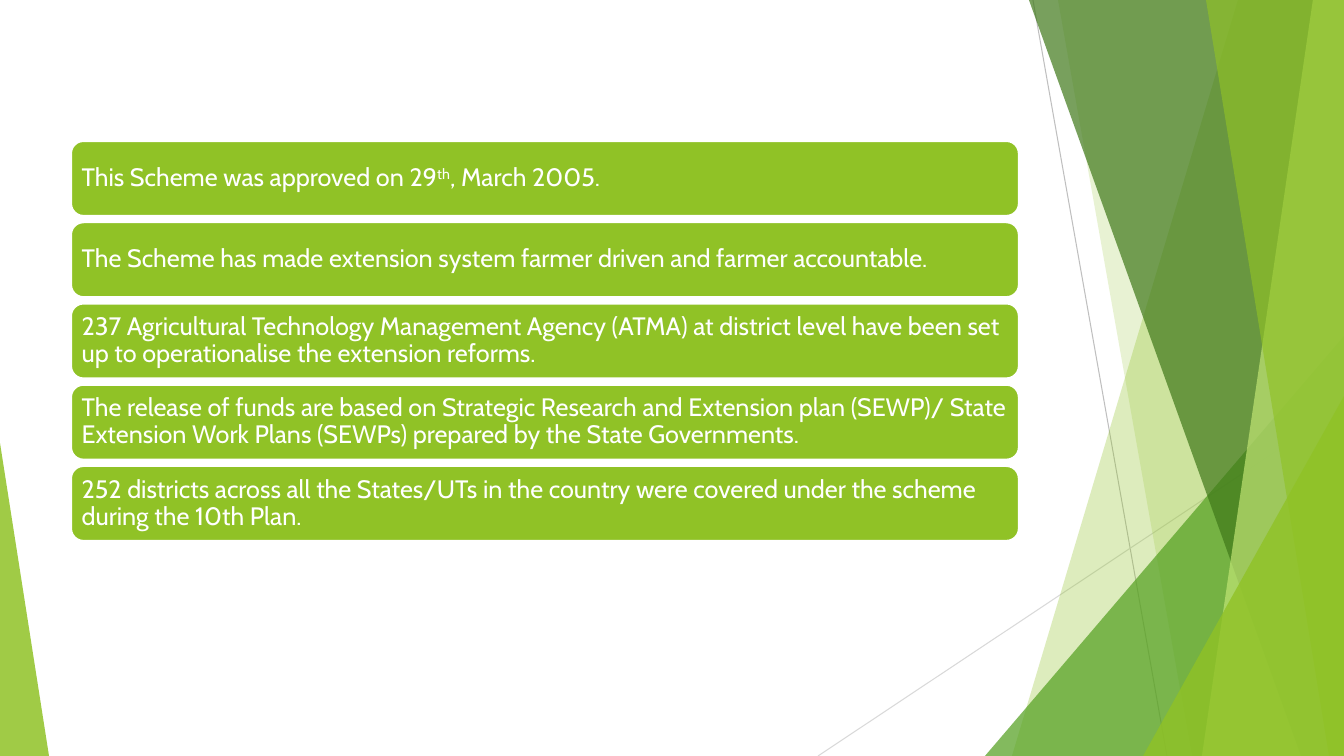
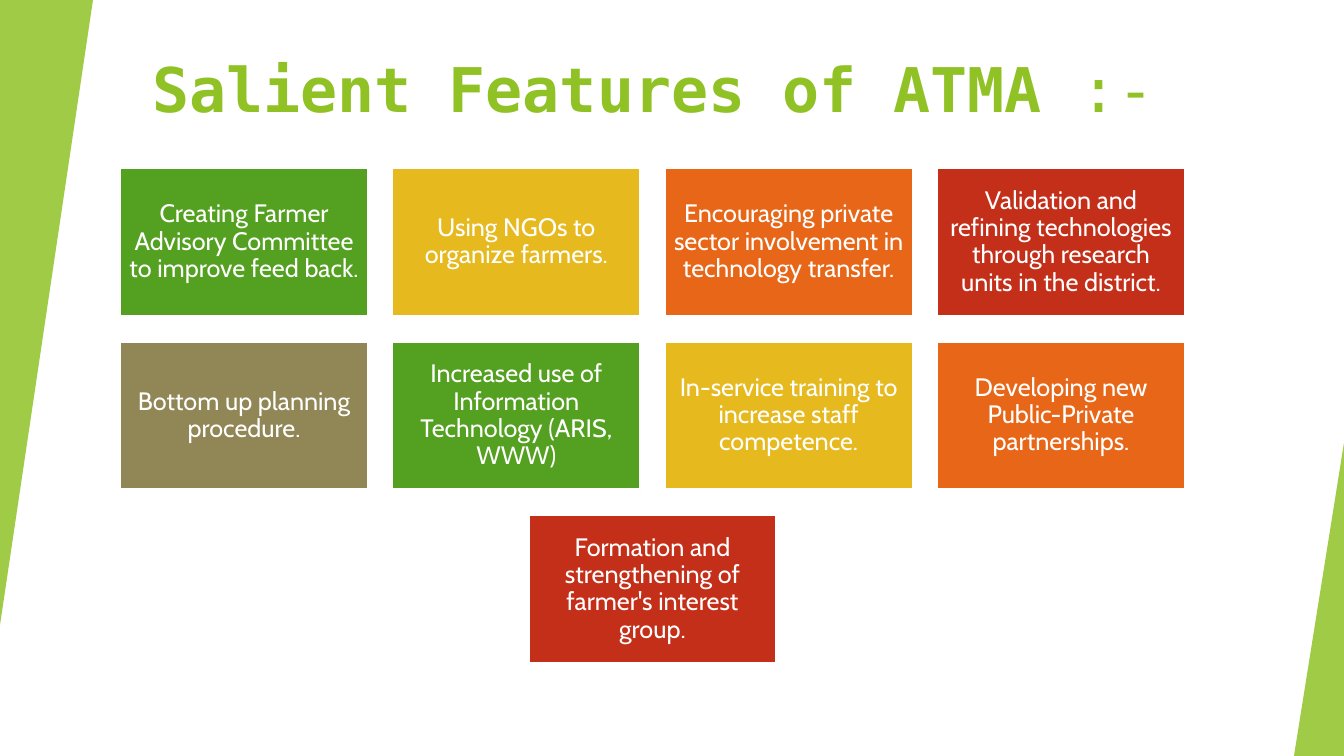
from lxml.etree import SubElement
from pptx import Presentation
from pptx.dml.color import RGBColor
from pptx.enum.shapes import MSO_CONNECTOR as Link, MSO_SHAPE as Kind
from pptx.enum.text import MSO_ANCHOR as Anchor, MSO_AUTO_SIZE as Fit, PP_ALIGN as Align
from pptx.oxml.ns import qn
from pptx.util import Emu, Pt

WIDE, HIGH = 1344, 756
LIME = RGBColor(0x90, 0xC2, 0x26)
LEAF = RGBColor(0x54, 0xA0, 0x21)
PINE = RGBColor(0x3F, 0x78, 0x19)
PALE = RGBColor(0xC0, 0xE4, 0x74)
GOLD = RGBColor(0xE6, 0xB9, 0x1E)
RUST = RGBColor(0xE7, 0x66, 0x18)
RED = RGBColor(0xC4, 0x2F, 0x1A)
CLAY = RGBColor(0x91, 0x86, 0x55)
GRAY = RGBColor(0xBF, 0xBF, 0xBF)
MIST = RGBColor(0xD9, 0xD9, 0xD9)
WHITE = RGBColor(0xFF, 0xFF, 0xFF)
HUES = [LEAF, GOLD, RUST, RED, CLAY]

CARD = {"name": "Cabin", "size": Pt(18)}
TITLE = {"name": "DejaVu Sans Mono", "size": Pt(44)}

FACTS = [
    ["This Scheme was approved on 29", "^th", ", March 2005."],
    ["The Scheme has made extension system farmer driven and farmer accountable."],
    ["237 Agricultural Technology Management Agency (ATMA) at district level "
     "have been set up to operationalise the extension reforms."],
    ["The release of funds are based on Strategic Research and Extension plan (SEWP)/ "
     "State Extension Work Plans (SEWPs) prepared by the State Governments."],
    ["252 districts across all the States/UTs in the country were covered "
     "under the scheme during the 10th Plan."],
]
TRAITS = [
    "Creating Farmer Advisory Committee to improve feed back.",
    "Using NGOs to organize farmers.",
    "Encouraging private sector involvement in technology transfer.",
    "Validation and refining technologies through research units in the district.",
    "Bottom up planning procedure.",
    "Increased use of Information Technology (ARIS, WWW)",
    "In-service training to increase staff competence.",
    "Developing new Public-Private partnerships.",
    "Formation and strengthening of farmer's interest group.",
]


def px(num):
    return Emu(round(num * 914400 / 100.8))


def apply(item, look):
    for key, value in look.items():
        setattr(item, key, value)


def paint(shape, hue, alpha):
    """Fill without outline; alpha is the opacity in percent."""
    shape.shadow.inherit = False
    shape.fill.solid()
    shape.fill.fore_color.rgb = hue
    shape.line.fill.background()
    tint = shape._element.spPr.find(qn("a:solidFill"))[0]
    SubElement(tint, qn("a:alpha")).set("val", str(alpha * 1000))


def write(para, text, look, hue):
    """Add a run; a leading ^ raises it."""
    run = para.add_run()
    run.text = text.lstrip("^")
    apply(run.font, look)
    run.font.color.rgb = hue
    if text.startswith("^"):
        run._r.get_or_add_rPr().set("baseline", "30000")


def ray(slide, start, end, hue):
    line = slide.shapes.add_connector(
        Link.STRAIGHT, *map(px, start), *map(px, end))
    line.line.color.rgb = hue
    line.line.width = Pt(0.75)
    SubElement(line._element.spPr, qn("a:effectLst"))


def facet(slide, top, foot, hue, alpha):
    """Full-height panel from a slanted left edge to the slide's right edge."""
    pen = slide.shapes.build_freeform(px(top), 0)
    pen.add_line_segments(
        [(px(x), px(y)) for x, y in [(WIDE, 0), (WIDE, HIGH), (foot, HIGH)]])
    paint(pen.convert_to_shape(), hue, alpha)


def wedge(slide, box, apex, hue=LIME, alpha=85, turn=0):
    shape = slide.shapes.add_shape(Kind.ISOSCELES_TRIANGLE, *map(px, box))
    shape.adjustments[0] = apex
    shape.rotation = turn
    paint(shape, hue, alpha)


def backdrop(slide):
    ray(slide, (1033, 0), (1167, HIGH), GRAY)
    ray(slide, (WIDE, 406), (818, HIGH), MIST)
    facet(slide, 1238, 1012, LIME, 30)
    facet(slide, 1058, 1192, LIME, 20)
    wedge(slide, (985, 336, 359, 420), 1, LEAF, 72)
    facet(slide, 1029, 1301, PINE, 70)
    facet(slide, 1313, 1202, PALE, 70)
    facet(slide, 1206, 1329, LIME, 65)
    wedge(slide, (1143, 396, 201, 360), 1, LIME, 80)
    wedge(slide, (0, 443, 49, 313), 0)


def card(slide, kind, box, parts, hue, align):
    shape = slide.shapes.add_shape(kind, *map(px, box))
    shape.shadow.inherit = False
    shape.fill.solid()
    shape.fill.fore_color.rgb = hue
    shape.line.color.rgb = WHITE
    shape.line.width = Pt(1.5)
    frame = shape.text_frame
    apply(frame, {"word_wrap": True, "vertical_anchor": Anchor.MIDDLE})
    apply(frame, {f"margin_{side}": px(7)
                  for side in ("left", "top", "right", "bottom")})
    para = frame.paragraphs[0]
    apply(para, {"alignment": align, "line_spacing": 0.9})
    for part in parts:
        write(para, part, CARD, WHITE)


def stack(slide, box, rows):
    """Equal bars from the top to the bottom of the box."""
    left, top, wide, high = box
    tall = 75
    step = (high - tall) / (len(rows) - 1)
    for i, parts in enumerate(rows):
        card(slide, Kind.ROUNDED_RECTANGLE,
             (left, top + i * step, wide, tall), parts, LIME, Align.LEFT)


def grid(slide, box, items, cols=4):
    """Rows of equal cards, a short last row centred."""
    left, top, wide, high = box
    size, tall = 248, 148
    rows = [items[i:i + cols] for i in range(0, len(items), cols)]
    across = (wide - size) / (cols - 1)
    down = (high - tall) / (len(rows) - 1)
    for r, row in enumerate(rows):
        inset = (cols - len(row)) * across / 2
        for c, text in enumerate(row):
            spot = (left + inset + c * across, top + r * down, size, tall)
            hue = HUES[(r * cols + c) % len(HUES)]
            card(slide, Kind.RECTANGLE, spot, [text], hue, Align.CENTER)


def heading(slide, box, bold, plain):
    title = slide.shapes.title
    apply(title, dict(zip(("left", "top", "width", "height"), map(px, box))))
    frame = title.text_frame
    apply(frame, {"auto_size": Fit.NONE, "word_wrap": True,
                  "vertical_anchor": Anchor.TOP})
    para = frame.paragraphs[0]
    para.alignment = Align.LEFT
    write(para, bold, {**TITLE, "bold": True}, LIME)
    write(para, plain, {**TITLE, "bold": False}, LIME)


def scheme(deck):
    slide = deck.slides.add_slide(deck.slide_layouts[6])
    backdrop(slide)
    stack(slide, (71, 141, 948, 400), FACTS)


def features(deck):
    slide = deck.slides.add_slide(deck.slide_layouts[5])
    heading(slide, (142, 46, 1124, 121), "Salient Features of ATMA", " :-")
    wedge(slide, (0, 0, 93, 625), 1, turn=180)
    wedge(slide, (1294, 443, 50, 313), 1)
    grid(slide, (120, 168, 1065, 495), TRAITS)


def main():
    deck = Presentation()
    apply(deck, {"slide_width": px(WIDE), "slide_height": px(HIGH)})
    scheme(deck)
    features(deck)
    deck.save("out.pptx")


if __name__ == "__main__":
    main()
